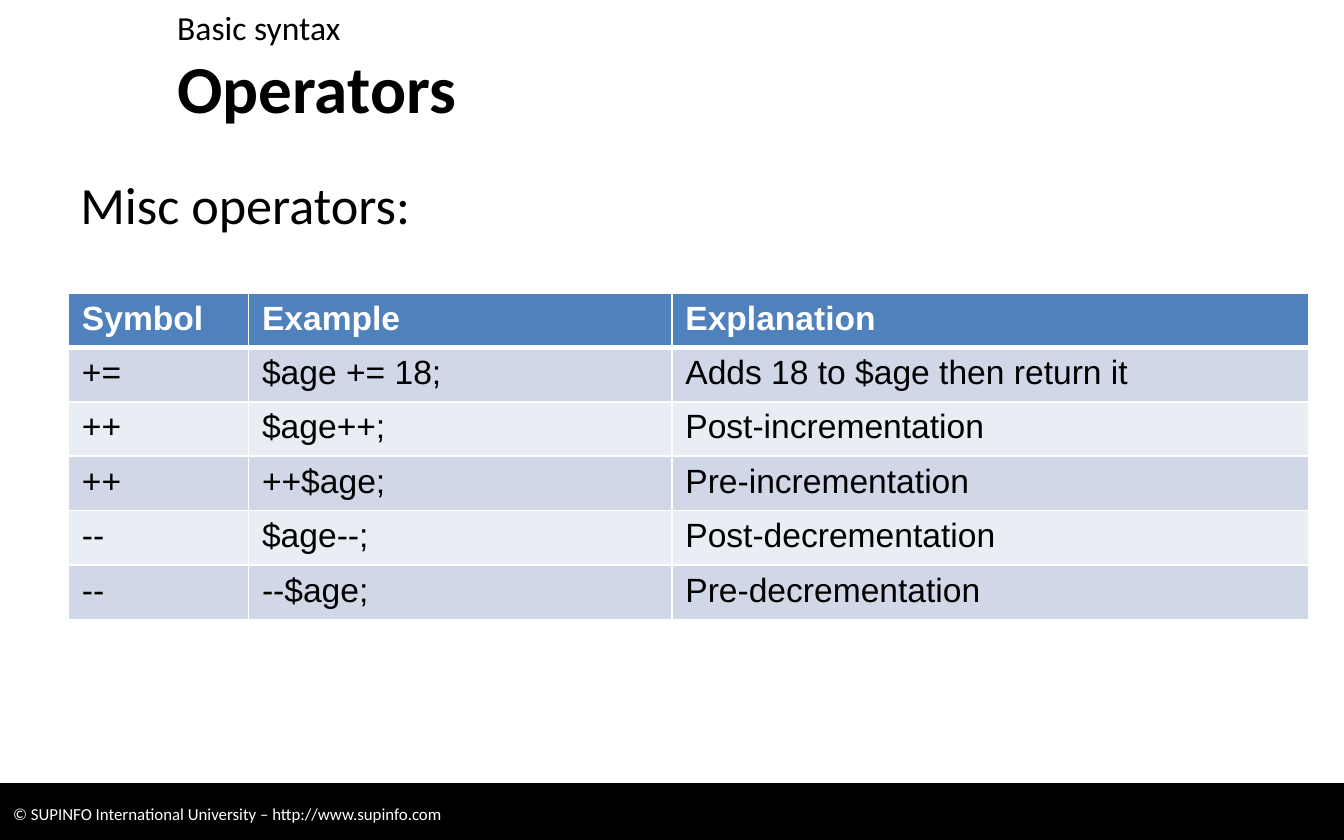
"""Build the slide listing miscellaneous operators in a table."""
from dataclasses import dataclass

import lxml.etree
import pptx
import pptx.dml.color
import pptx.enum.shapes
import pptx.enum.text
import pptx.oxml.ns
import pptx.util

Inches = pptx.util.Inches


@dataclass(frozen=True)
class Theme:
    heading_font: str = "Calibri"
    table_font: str = "Arial"
    black: str = "000000"
    white: str = "FFFFFF"
    header: str = "4F81BD"
    bands: tuple[str, str] = ("D0D8E8", "E9EDF4")
    title_size: float = 36
    lead_size: float = 28
    text_size: float = 18
    footer_size: float = 9
    thin_border: float = 1
    thick_border: float = 3


@dataclass(frozen=True)
class Label:
    text: str
    left: float
    top: float
    width: float
    height: float
    size: float
    bold: bool = False
    middle: bool = False


THEME = Theme()
LABELS = (
    Label("Operators", 1.22, 0.37, 8.51, 0.55, THEME.title_size, bold=True, middle=True),
    Label("Basic syntax", 1.22, 0, 8.51, 0.37, THEME.text_size),
    Label("Misc operators:", 0.5, 1.23, 9.23, 4.63, THEME.lead_size),
)
COLUMN_WIDTHS = (1.34, 3.15, 4.74)
ROW_HEIGHT = 0.405
OPERATORS = (
    ("Symbol", "Example", "Explanation"),
    ("+=", "$age += 18;", "Adds 18 to $age then return it"),
    ("++", "$age++;", "Post-incrementation"),
    ("++", "++$age;", "Pre-incrementation"),
    ("--", "$age--;", "Post-decrementation"),
    ("--", "--$age;", "Pre-decrementation"),
)


def rgb(color: str) -> pptx.dml.color.RGBColor:
    return pptx.dml.color.RGBColor.from_string(color)


def write(frame, text: str, font: str, size: float, color: str, bold: bool = False) -> None:
    para = frame.paragraphs[0]
    para.alignment = pptx.enum.text.PP_ALIGN.LEFT
    span = para.add_run()
    span.text = text
    span.font.name = font
    span.font.size = pptx.util.Pt(size)
    span.font.bold = bold
    span.font.color.rgb = rgb(color)


def draw_label(page, label: Label) -> None:
    box = page.shapes.add_textbox(
        Inches(label.left), Inches(label.top), Inches(label.width), Inches(label.height))
    frame = box.text_frame
    frame.word_wrap = True
    anchor = pptx.enum.text.MSO_ANCHOR
    frame.vertical_anchor = anchor.MIDDLE if label.middle else anchor.TOP
    write(frame, label.text, THEME.heading_font, label.size, THEME.black, label.bold)


def draw_footer(page, text: str) -> None:
    bar = page.shapes.add_shape(
        pptx.enum.shapes.MSO_SHAPE.RECTANGLE, 0, Inches(5.83), Inches(10), Inches(0.45))
    bar.shadow.inherit = False
    bar.fill.solid()
    bar.fill.fore_color.rgb = rgb(THEME.black)
    bar.line.color.rgb = rgb(THEME.black)
    bar.line.width = pptx.util.Pt(0.75)
    bar.text_frame.word_wrap = True
    bar.text_frame.vertical_anchor = pptx.enum.text.MSO_ANCHOR.MIDDLE
    write(bar.text_frame, text, THEME.heading_font, THEME.footer_size, THEME.white)


def add_border(cell, side: str, width: float) -> None:
    qn = pptx.oxml.ns.qn
    properties = cell._tc.get_or_add_tcPr()
    line = lxml.etree.SubElement(properties, qn(f"a:ln{side}"), w=str(pptx.util.Pt(width)))
    fill = lxml.etree.SubElement(line, qn("a:solidFill"))
    lxml.etree.SubElement(fill, qn("a:srgbClr"), val=THEME.white)


def style_cell(cell, text: str, row: int) -> None:
    is_header = row == 0
    top = THEME.thick_border if row == 1 else THEME.thin_border
    bottom = THEME.thick_border if is_header else THEME.thin_border
    for side, width in zip("LRTB", (THEME.thin_border, THEME.thin_border, top, bottom)):
        add_border(cell, side, width)
    cell.fill.solid()
    cell.fill.fore_color.rgb = rgb(THEME.header if is_header else THEME.bands[(row - 1) % 2])
    color = THEME.white if is_header else THEME.black
    write(cell.text_frame, text, THEME.table_font, THEME.text_size, color, is_header)


def draw_table(page, left: float, top: float) -> None:
    table = page.shapes.add_table(
        len(OPERATORS), len(COLUMN_WIDTHS), Inches(left), Inches(top),
        Inches(sum(COLUMN_WIDTHS)), Inches(ROW_HEIGHT * len(OPERATORS))).table
    for column, width in zip(table.columns, COLUMN_WIDTHS):
        column.width = Inches(width)
    for row, texts in enumerate(OPERATORS):
        table.rows[row].height = Inches(ROW_HEIGHT)
        for column, text in enumerate(texts):
            style_cell(table.cell(row, column), text, row)


def main() -> None:
    deck = pptx.Presentation()
    deck.slide_width, deck.slide_height = Inches(10), Inches(6.25)
    page = deck.slides.add_slide(deck.slide_layouts[6])
    draw_footer(page, "© SUPINFO International University – http://www.supinfo.com")
    for label in LABELS:
        draw_label(page, label)
    draw_table(page, 0.51, 2.18)
    deck.save("out.pptx")


if __name__ == "__main__":
    main()
